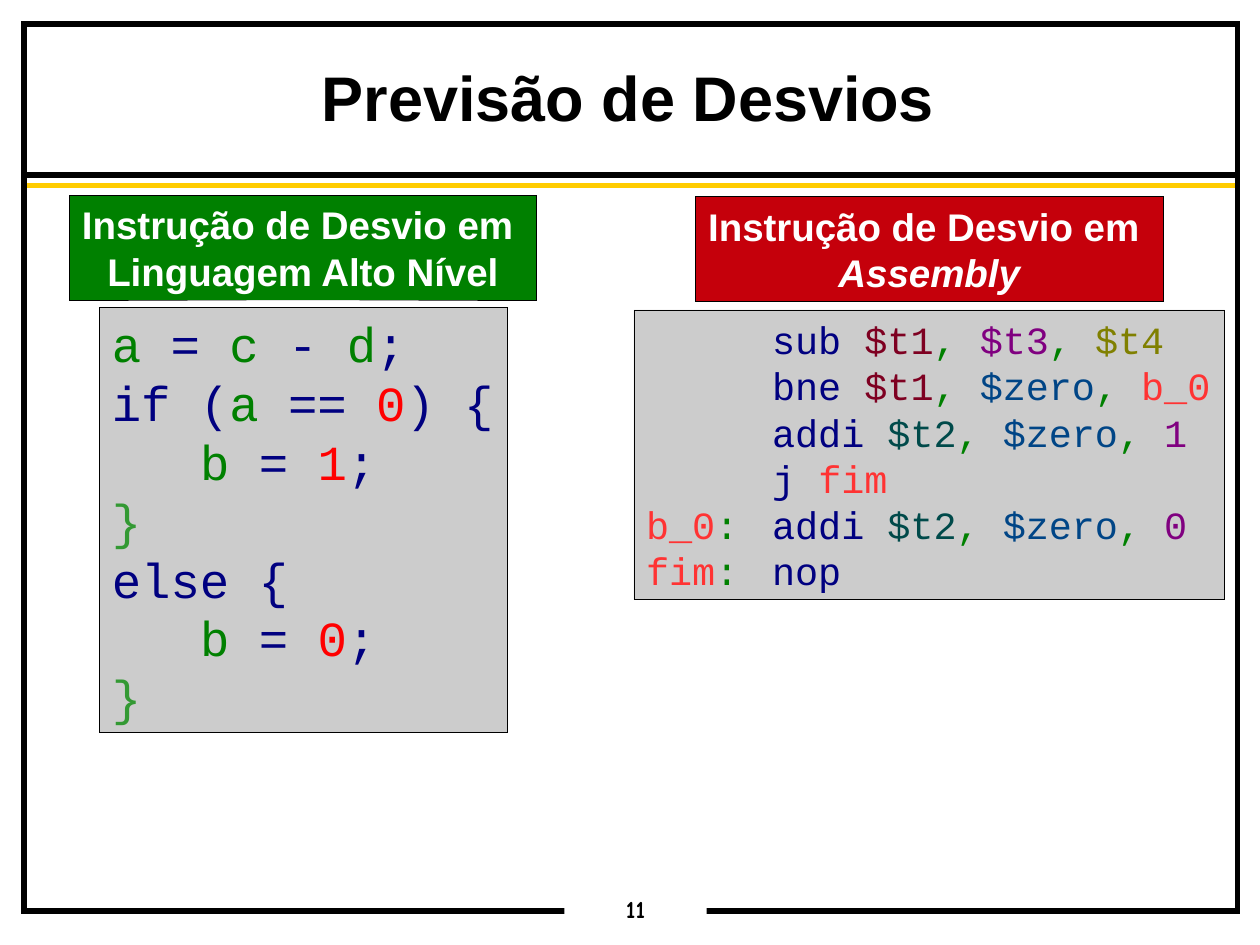
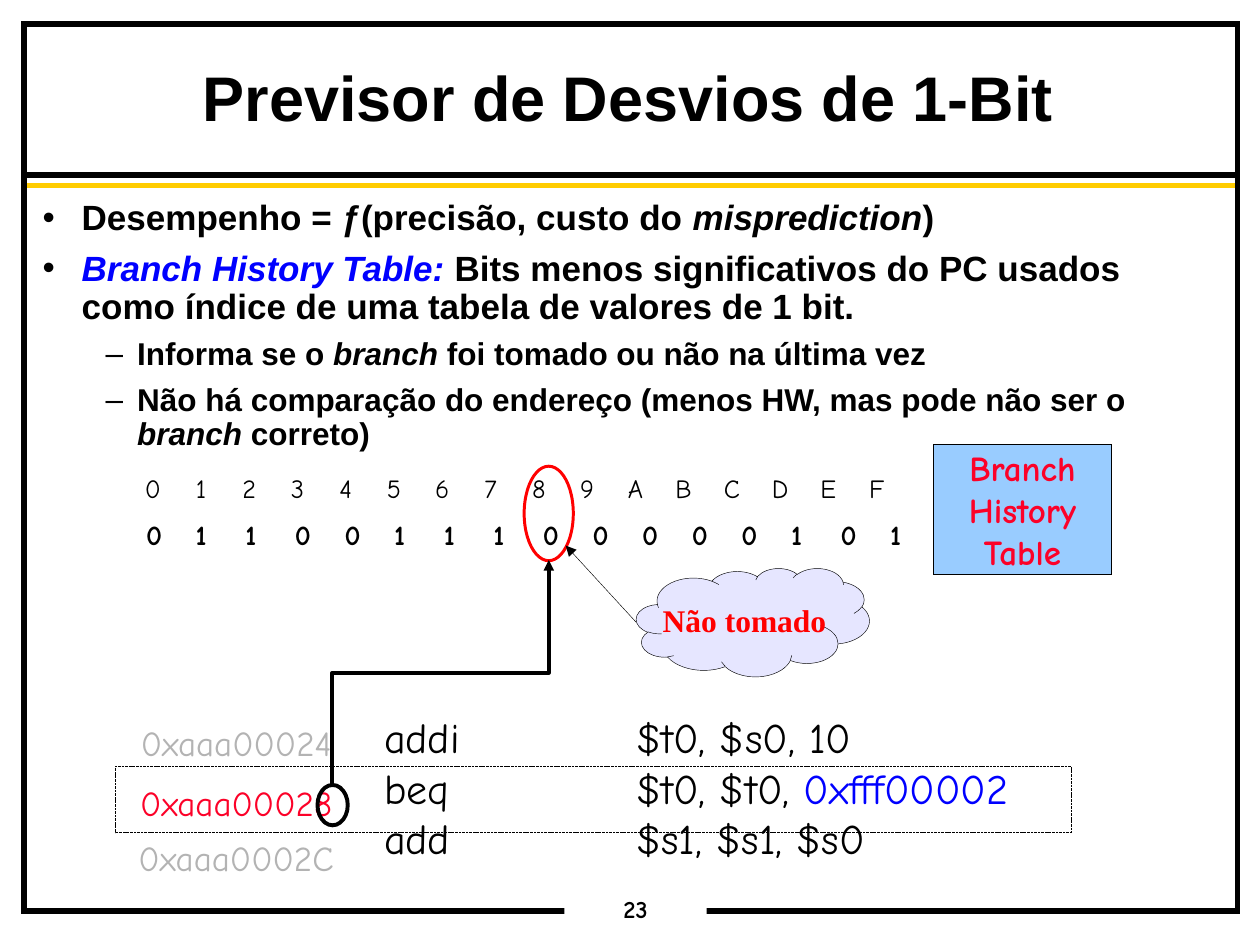
from lxml.etree import SubElement
from pptx import Presentation
from pptx.dml.color import RGBColor
from pptx.enum.dml import MSO_LINE
from pptx.enum.shapes import MSO_CONNECTOR as Link, MSO_SHAPE as Kind
from pptx.enum.text import MSO_ANCHOR as Anchor, PP_ALIGN as Align
from pptx.oxml.ns import qn
from pptx.util import Inches, Pt

BLACK = RGBColor(0x00, 0x00, 0x00)
WHITE = RGBColor(0xFF, 0xFF, 0xFF)
GOLD = RGBColor(0xFF, 0xCC, 0x00)
SILVER = RGBColor(0xCC, 0xCC, 0xCC)
GREY = RGBColor(0xB3, 0xB3, 0xB3)
GREEN = RGBColor(0x00, 0x80, 0x00)
LEAF = RGBColor(0x33, 0x99, 0x33)
NAVY = RGBColor(0x00, 0x00, 0x80)
BLUE = RGBColor(0x00, 0x00, 0xFF)
STEEL = RGBColor(0x00, 0x45, 0x86)
SKY = RGBColor(0x99, 0xCC, 0xFF)
LAVENDER = RGBColor(0xE6, 0xE6, 0xFF)
TEAL = RGBColor(0x00, 0x4A, 0x4A)
OLIVE = RGBColor(0x80, 0x80, 0x00)
PURPLE = RGBColor(0x80, 0x00, 0x80)
MAROON = RGBColor(0x7E, 0x00, 0x21)
RED = RGBColor(0xFF, 0x00, 0x00)
CRIMSON = RGBColor(0xC5, 0x00, 0x0B)
SCARLET = RGBColor(0xFC, 0x01, 0x28)
CORAL = RGBColor(0xFF, 0x33, 0x33)

SANS, HAND, MONO, SERIF = "Arial", "Comic Neue", "Courier New", "Times New Roman"
ITALICS = {"Assembly", "misprediction", "branch", "Branch History Table:"}
HAIRLINE = 0.25

deck = Presentation()
deck.slide_width, deck.slide_height = Inches(10), Inches(7.5)

# Grid of 100 columns by 75 rows
COL = deck.slide_width / 100
ROW = deck.slide_height / 75


def add_box(page, kind, left, top, width, height, fill=None, line=None, weight=HAIRLINE):
    """Add a shape, or a text box when kind is None, placed on the grid."""
    place = [int(left * COL), int(top * ROW), int(width * COL), int(height * ROW)]
    if kind is None:
        return page.shapes.add_textbox(*place)
    box = page.shapes.add_shape(kind, *place)
    box.shadow.inherit = False
    box.fill.background()
    if fill is not None:
        box.fill.solid()
        box.fill.fore_color.rgb = fill
    box.line.fill.background()
    if line is not None:
        box.line.color.rgb = line
        box.line.width = Pt(weight)
        SubElement(box.line._get_or_add_ln(), qn("a:miter"), lim="800000")
    return box


def write(frame, lines, size, font, colour=BLACK, bold=False, align=Align.LEFT,
          anchor=Anchor.TOP, colours={}, tabs=(), tab_align="l", spacing=None, wrap=False):
    """Write one paragraph per line; "|" parts the spans, whose words pick their colour."""
    frame.word_wrap = wrap
    frame.vertical_anchor = anchor
    for number, line in enumerate(lines):
        para = frame.add_paragraph() if number else frame.paragraphs[0]
        para.alignment = align
        para.line_spacing = spacing
        for part in line.split("|"):
            if part == "\v":
                para.add_line_break()
                continue
            span = para.add_run()
            span.text = part
            span.font.name, span.font.size, span.font.bold = font, Pt(size), bold
            span.font.italic = part.strip() in ITALICS
            span.font.color.rgb = colours.get(part.strip(), colour)
        if tabs:
            stops = SubElement(para._p.get_or_add_pPr(), qn("a:tabLst"))
            for stop in tabs:
                SubElement(stops, qn("a:tab"), pos=str(int(stop * COL)), algn=tab_align)


# Frame, rules, page number and title of every slide
pages = []
for title, number in [("Previsão de Desvios", "11"), ("Previsor de Desvios de 1-Bit", "23")]:
    page = deck.slides.add_slide(deck.slide_layouts[6])
    pages.append(page)
    for row, colour in [(13.9, BLACK), (14.7, GOLD)]:
        rule = page.shapes.add_connector(Link.STRAIGHT, int(2 * COL), int(row * ROW),
                                         int(98.3 * COL), int(row * ROW))
        rule.line.color.rgb = colour
        rule.line.width = Pt(3)
    add_box(page, Kind.RECTANGLE, 1.9, 1.9, 96.3, 70.4, line=BLACK, weight=3)
    footer = add_box(page, Kind.RECTANGLE, 44.8, 70.9, 11.3, 2.7, fill=WHITE).text_frame
    footer.margin_top = footer.margin_bottom = Inches(0.03)
    write(footer, [number], 14, HAND, bold=True, align=Align.CENTER, spacing=0.9)
    heading = add_box(page, None, 1.6, 2.4, 96.5, 11).text_frame
    heading.margin_left = heading.margin_right = 0
    write(heading, [title], 36, SANS, bold=True, align=Align.CENTER, anchor=Anchor.MIDDLE,
          spacing=0.95, wrap=True)

code_page, predictor_page = pages

# Slide 1: the branch in a high-level language and in assembly
high_level = ["a |= |c |- |d|;", "if (|a |== |0|) {", "\t|b |= |1|;", "}",
              "else {", "\t|b |= |0|;", "}"]
high_level_colours = {"a": GREEN, "b": GREEN, "c": GREEN, "d": GREEN,
                      "0": RED, "1": RED, "}": LEAF}
assembly = ["\tsub |$t1|, |$t3|, |$t4", "\tbne |$t1|, |$zero|, |b_0",
            "\taddi |$t2|, |$zero|, |1", "\tj |fim",
            "b_0|:\t|addi |$t2|, |$zero|, |0", "fim|:\t|nop"]
assembly_colours = {"$t1": MAROON, "$t2": TEAL, "$t3": PURPLE, "$t4": OLIVE, "$zero": STEEL,
                    "b_0": CORAL, "fim": CORAL, ",": GREEN, ":": GREEN,
                    "0": PURPLE, "1": PURPLE}

for place, lines, size, colours, tab in [
        ((7.9, 24.4, 32.4, 33.7), high_level, 28, high_level_colours, 7),
        ((50.3, 24.6, 46.9, 23), assembly, 22, assembly_colours, 10)]:
    listing = add_box(code_page, Kind.RECTANGLE, *place, fill=SILVER, line=BLACK)
    write(listing.text_frame, lines, size, MONO, NAVY, anchor=Anchor.MIDDLE,
          colours=colours, tabs=[tab])

for left, top, fill, subject in [(5.5, 15.5, GREEN, "Linguagem Alto Nível"),
                                 (55.2, 15.6, CRIMSON, "Assembly")]:
    label = add_box(code_page, Kind.RECTANGLE, left, top, 37.1, 8.3, fill=fill, line=BLACK)
    write(label.text_frame, ["Instrução de Desvio em |\v|" + subject], 22, SANS, WHITE,
          bold=True, align=Align.CENTER, anchor=Anchor.MIDDLE)

# Slide 2: bullets on two levels
body = add_box(predictor_page, None, 2.4, 15.4, 95.5, 29.7).text_frame
write(body, ["Desempenho = ƒ(precisão, custo do |misprediction|)",
             "Branch History Table:| Bits menos significativos do PC usados como índice "
             "de uma tabela de valores de 1 bit.",
             "Informa se o |branch| foi tomado ou não na última vez",
             "Não há comparação do endereço (menos HW, mas pode não ser o |branch| correto)"],
      20, SANS, bold=True, colours={"Branch History Table:": BLUE}, spacing=0.9, wrap=True)
for number, para in enumerate(body.paragraphs):
    level = number // 2
    indent, hanging, size, before, mark = [(3.1, 3.1, 20, 7.5, "•"),
                                           (7.5, 2.5, 18, 6.8, "–")][level]
    para.level = level
    para.space_before = Pt(before)
    for span in para.runs:
        span.font.size = Pt(size)
    props = para._p.get_or_add_pPr()
    props.set("marL", str(int(indent * COL)))
    props.set("indent", str(int(-hanging * COL)))
    SubElement(SubElement(props, qn("a:buClr")), qn("a:srgbClr"), val=str(BLACK))
    SubElement(props, qn("a:buFont"), typeface=SANS)
    SubElement(props, qn("a:buChar"), char=mark)

# History bits with their indexes above
bits = "0110011100000101"
history = predictor_page.shapes.add_table(1, len(bits), int(10.6 * COL), int(39.9 * ROW),
                                          int(63 * COL), int(5.5 * ROW)).table
history.first_row = history.horz_banding = False
for cell, bit in zip(history.rows[0].cells, bits):
    cell.fill.background()
    cell.vertical_anchor = Anchor.MIDDLE
    write(cell.text_frame, [bit], 16, HAND, bold=True, spacing=0.88, wrap=True)
    cell.text_frame.paragraphs[0].space_before = Pt(6)

indexes = add_box(predictor_page, None, 8.5, 37, 65.1, 3.5).text_frame
write(indexes, ["\t" + "\t".join("0123456789ABCDEF")], 15, HAND, wrap=True,
      tabs=[2.64 + 3.83 * step for step in range(16)], tab_align="ctr")

# Instructions and their addresses, with side margins given up so that no line wraps
program = add_box(predictor_page, None, 29.5, 56, 53, 13).text_frame
program.margin_right = 0
write(program, ["addi\t$t0, $s0, 10", "beq\t$t0, $t0, |0xfff00002", "add\t$s1, $s1, $s0"],
      24, HAND, colours={"0xfff00002": BLUE}, tabs=[20])
for top, address, colour in [(56.8, "0xaaa00024", GREY), (61.5, "0xaaa00028", SCARLET),
                             (65.9, "0xaaa0002C", GREY)]:
    tag = add_box(predictor_page, None, 10.1, top, 17.3, 4.4).text_frame
    tag.margin_left = tag.margin_right = 0
    write(tag, [address], 20, HAND, colour, align=Align.CENTER)

# Marks around the branch, its last digit and its history bit
add_box(predictor_page, Kind.OVAL, 25.2, 62.3, 2.4, 3.2, line=BLACK, weight=2.25)
add_box(predictor_page, Kind.OVAL, 41.6, 37, 3.9, 7.5, line=RED, weight=1.7)
branch_row = add_box(predictor_page, Kind.RECTANGLE, 9.2, 60.8, 75.8, 5.3,
                     line=BLACK, weight=0.5)
branch_row.line.dash_style = MSO_LINE.SQUARE_DOT

# Table name and verdict
name = add_box(predictor_page, Kind.RECTANGLE, 74.1, 35.3, 14.1, 10.3, fill=SKY, line=BLACK)
write(name.text_frame, ["Branch", "History", "Table"], 20, HAND, SCARLET, bold=True,
      align=Align.CENTER, anchor=Anchor.MIDDLE)
cloud = add_box(predictor_page, Kind.CLOUD, 50.5, 45.1, 18.5, 8.6, fill=LAVENDER, line=BLACK)
write(cloud.text_frame, ["Não tomado"], 18, SERIF, RED, bold=True,
      align=Align.CENTER, anchor=Anchor.MIDDLE)

# Arrows to the history bit; the elbow is turned a quarter so that it leaves upwards
for kind, ends, weight, turn in [(Link.ELBOW, (43.9, 62, 26, 44.8), 2, 90),
                                 (Link.STRAIGHT, (50.5, 49.4, 44.9, 43.3), HAIRLINE, 0)]:
    x1, y1, x2, y2 = ends
    arrow = predictor_page.shapes.add_connector(kind, int(x1 * COL), int(y1 * ROW),
                                                int(x2 * COL), int(y2 * ROW))
    arrow.line.color.rgb = BLACK
    arrow.line.width = Pt(weight)
    SubElement(arrow.line._get_or_add_ln(), qn("a:tailEnd"), type="triangle")
    if turn:
        arrow._element.spPr.find(qn("a:xfrm")).set("rot", str(turn * 60000))

# Connectors carry no shadow
for page in pages:
    for connector in page._element.iter(qn("p:cxnSp")):
        SubElement(connector.spPr, qn("a:effectLst"))

deck.save("out.pptx")
